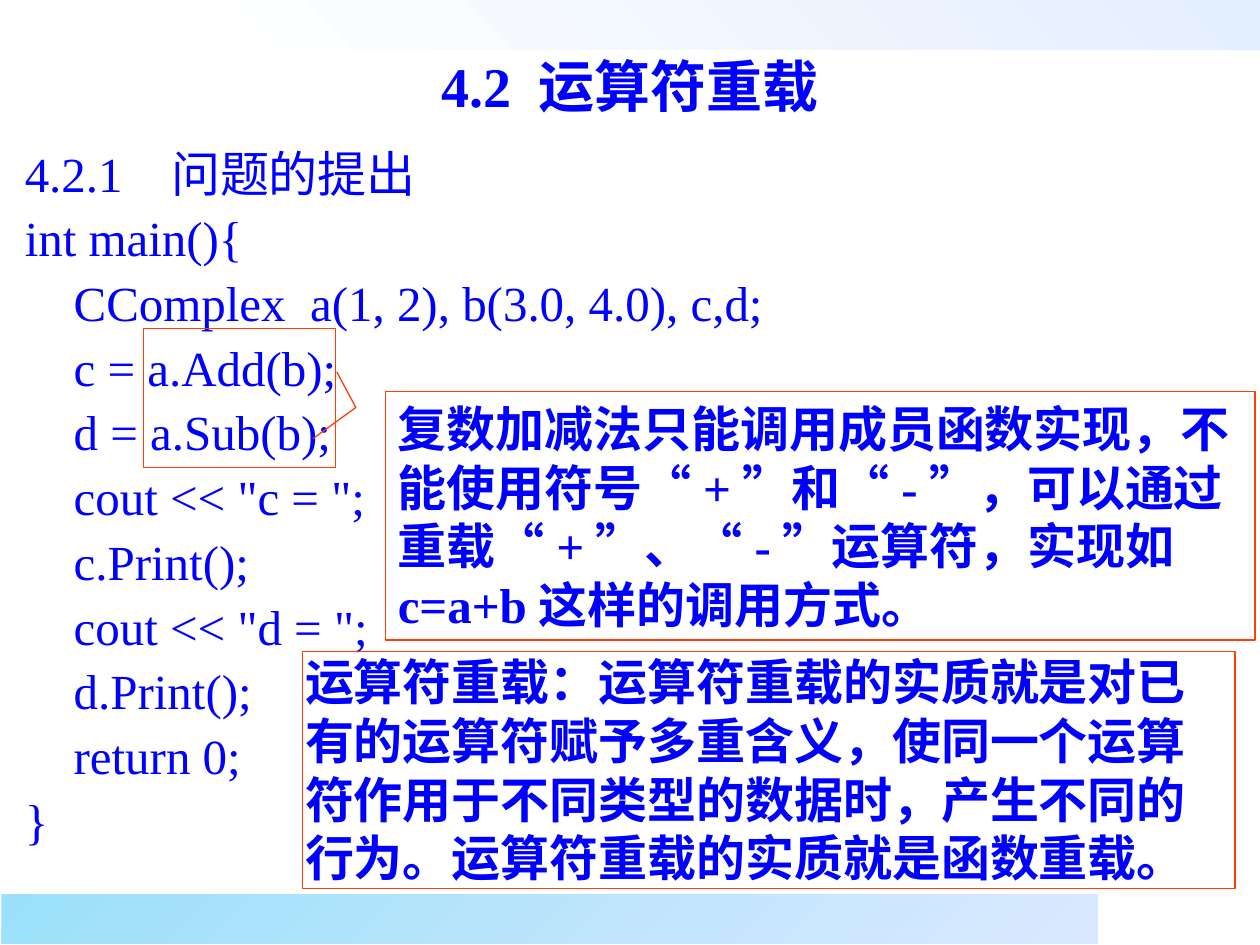
"""Build the slide that introduces operator overloading."""
from pptx import Presentation
from pptx.dml.color import RGBColor
from pptx.enum.lang import MSO_LANGUAGE_ID
from pptx.enum.shapes import MSO_SHAPE
from pptx.enum.text import MSO_ANCHOR, MSO_AUTO_SIZE, PP_ALIGN
from pptx.oxml.ns import qn
from pptx.util import Cm, Pt
from lxml.etree import SubElement

BLUE = RGBColor(0x00, 0x00, 0xFF)
ORANGE = RGBColor(0xFD, 0x3F, 0x03)
WHITE = RGBColor(0xFF, 0xFF, 0xFF)
PALE = RGBColor(0xE3, 0xEE, 0xFF)
SKY = RGBColor(0x9B, 0xE0, 0xF9)
LILAC = RGBColor(0xDA, 0xE9, 0xFF)
LATIN, CJK = "Times New Roman", "Noto Sans CJK SC"
PADDED = (0.25, 0.13, 0.25, 0.13)

TITLE = "4.2 运算符重载"
CODE = [
    "4.2.1   问题的提出",
    "int main(){",
    "    CComplex  a(1, 2), b(3.0, 4.0), c,d;",
    "    c = a.Add(b);",
    "    d = a.Sub(b);",
    '    cout << "c = ";',
    "    c.Print();",
    '    cout << "d = ";',
    "    d.Print();",
    "    return 0;",
    "}",
]
REMARK = "复数加减法只能调用成员函数实现，不能使用符号“+”和“-”，可以通过重载“+”、“-”运算符，实现如c=a+b这样的调用方式。"
DEFINITION = ("运算符重载：运算符重载的实质就是对已有的运算符赋予多重含义，使同一个运算符作用于"
              "不同类型的数据时，产生不同的行为。运算符重载的实质就是函数重载。")
BANDS = [
    ((3.91, 0, 21.49, 0.99), (WHITE, PALE), 45),
    ((0.03, 18.03, 22.1, 0.99), (SKY, LILAC), 315),
]
POINTER = (0.188, -0.083, 0.063, -0.034, -0.081, -0.056)


def write(sp, lines, size=28, font=LATIN, bold=False, align=PP_ALIGN.LEFT,
          anchor=MSO_ANCHOR.TOP, insets=PADDED, spacing=1.0, after=0):
    tf = sp.text_frame
    tf.word_wrap = True
    tf.auto_size = MSO_AUTO_SIZE.NONE
    tf.vertical_anchor = anchor
    tf.margin_left, tf.margin_top, tf.margin_right, tf.margin_bottom = map(Cm, insets)
    for i, line in enumerate(lines):
        p = tf.add_paragraph() if i else tf.paragraphs[0]
        p.alignment, p.line_spacing = align, spacing
        p.space_before, p.space_after = Pt(0), Pt(after)
        r = p.add_run()
        r.text = line
        r.font.size, r.font.bold, r.font.name = Pt(size), bold, font
        r.font.color.rgb = BLUE
        r.font.language_id = MSO_LANGUAGE_ID.SIMPLIFIED_CHINESE
        SubElement(r.font._element, qn("a:ea"), typeface=CJK)


def add_band(s, box, colors, angle):
    sp = s.shapes.add_shape(MSO_SHAPE.RECTANGLE, *map(Cm, box))
    sp.shadow.inherit = False
    sp.line.fill.background()
    sp.fill.gradient()
    sp.fill.gradient_angle = angle
    for stop, position, color in zip(sp.fill.gradient_stops, (0, 1), colors):
        stop.position, stop.color.rgb = position, color


def add_frame(s, kind, box):
    sp = s.shapes.add_shape(kind, *map(Cm, box))
    sp.shadow.inherit = False
    sp.fill.background()
    sp.line.color.rgb, sp.line.width = ORANGE, Pt(0.75)
    return sp


def main():
    prs = Presentation()
    prs.slide_width, prs.slide_height = Cm(25.4), Cm(19.05)
    s = prs.slides.add_slide(prs.slide_layouts[5])
    for band in BANDS:
        add_band(s, *band)

    title = s.shapes.title
    title.left, title.top, title.width, title.height = map(Cm, (0, 0.91, 25.4, 1.63))
    write(title, [TITLE], size=32, bold=True, align=PP_ALIGN.CENTER, anchor=MSO_ANCHOR.MIDDLE)

    code = s.shapes.add_textbox(*map(Cm, (0.5, 2.77, 24.4, 14.35)))
    write(code, CODE, insets=(0, 0, 0, 0), spacing=1.1)

    remark = add_frame(s, MSO_SHAPE.LINE_CALLOUT_2, (7.77, 7.9, 17.53, 5))
    for i, value in enumerate(POINTER):
        remark.adjustments[i] = value
    write(remark, [REMARK], bold=True)

    add_frame(s, MSO_SHAPE.RECTANGLE, (2.9, 6.63, 3.86, 2.79))

    definition = add_frame(s, MSO_SHAPE.RECTANGLE, (6.1, 13.13, 18.8, 4.78))
    write(definition, [DEFINITION], font=CJK, bold=True, anchor=MSO_ANCHOR.MIDDLE,
          insets=(0.05, 0, 0.05, 0.03), after=2)
    prs.save("out.pptx")


if __name__ == "__main__":
    main()
